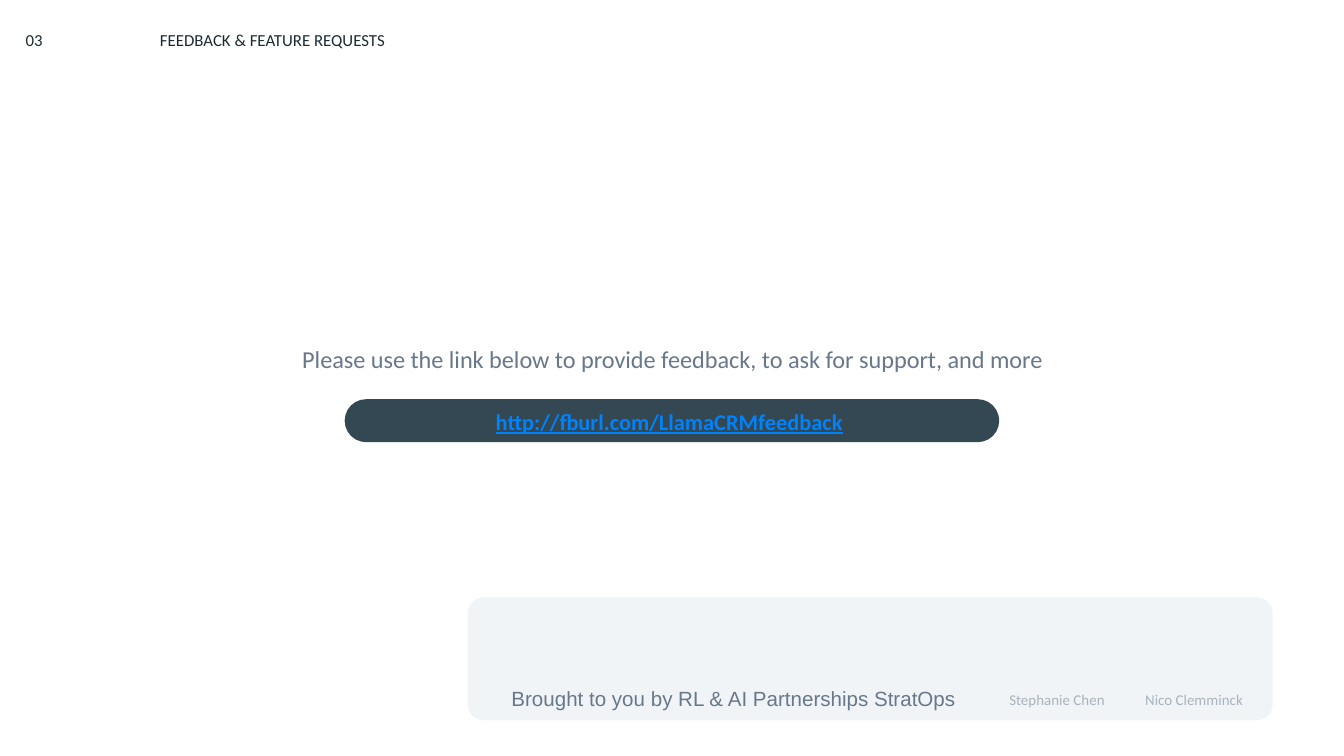
from dataclasses import dataclass
from lxml.etree import SubElement as Sub
from pptx import Presentation
from pptx.dml.color import RGBColor as RGB
from pptx.enum.shapes import MSO_SHAPE as Shape
from pptx.enum.text import MSO_ANCHOR as Anchor, PP_ALIGN as Align
from pptx.oxml.ns import qn
from pptx.util import Pt

PX = 4572


@dataclass(frozen=True)
class Theme:
    white: str = "FFFFFF"
    panel: str = "F1F4F7"
    pill: str = "344854"
    ink: str = "1C2B33"
    slate: str = "67788A"
    mist: str = "A7B3BF"
    link: str = "0082FB"
    font: str = "Calibri"
    plain: str = "Arial"
    lead: int = 13
    url: int = 12
    credit: int = 11
    head: int = 9
    name: int = 8


T = Theme()


def scale(box):
    return [n * PX for n in box]


def write(shape, text, size, color, font=T.font, align=Align.CENTER,
          anchor=Anchor.TOP, inset=0, space=1.0, tab=0):
    frame = shape.text_frame
    frame.word_wrap = True
    frame.vertical_anchor = anchor
    frame.margin_left = frame.margin_right = inset * PX
    frame.margin_top = frame.margin_bottom = inset * PX
    para = frame.paragraphs[0]
    para.text = text
    para.alignment = align
    para.line_spacing = space
    if tab:
        stops = Sub(para._p.get_or_add_pPr(), qn("a:tabLst"))
        Sub(stops, qn("a:tab"), pos=str(tab * PX), algn="l")
    face = para.font
    face.name = font
    face.size = Pt(size)
    face.color.rgb = RGB.from_string(color)
    return para


def label(slide, box, *args, **opts):
    return write(slide.shapes.add_textbox(*scale(box)), *args, **opts)


def plate(slide, box, fill, round):
    shape = slide.shapes.add_shape(Shape.ROUNDED_RECTANGLE, *scale(box))
    shape.adjustments[0] = round
    shape.shadow.inherit = False
    shape.fill.solid()
    shape.fill.fore_color.rgb = RGB.from_string(fill)
    shape.line.fill.background()
    return shape


def header(slide, box):
    label(slide, box, "03\tFEEDBACK & FEATURE REQUESTS", T.head, T.ink,
          align=Align.LEFT, space=1.2, tab=200)


def invite(slide, box):
    x, y, w, h = box
    label(slide, (x, y, w, 64),
          "Please use the link below to provide feedback, to ask for support, and more",
          T.lead, T.slate, space=1.15)
    wide = 974
    pill = plate(slide, (x + (w - wide) // 2, y + h - 64, wide, 64), T.pill, 0.5)
    para = write(pill, "http://fburl.com/LlamaCRMfeedback", T.url, T.link,
                 anchor=Anchor.MIDDLE, inset=20, space=1.1)
    para.font.bold = True
    para.runs[0].font.underline = True
    para.add_run().text = " "


def credits(slide, box):
    x, y, w, h = box
    panel = plate(slide, box, T.panel, 0.13)
    panel.line.color.rgb = RGB.from_string(T.white)
    panel.line.width = Pt(0.75)
    people = ("Nico Clemminck", 908, 348), ("Stephanie Chen", 736, 284)
    for name, left, wide in people:
        label(slide, (x + left, y + h - 130, wide, 124), name, T.name, T.mist,
              anchor=Anchor.BOTTOM, inset=20)
    label(slide, (x - 15, y + h - 78, 824, 78),
          "Brought to you by RL & AI Partnerships StratOps",
          T.credit, T.slate, font=T.plain, inset=20, space=1.15)


def main():
    deck = Presentation()
    deck.slide_width, deck.slide_height = scale((2000, 1125))
    slide = deck.slides.add_slide(deck.slide_layouts[6])
    credits(slide, (695, 888, 1200, 185))
    invite(slide, (105, 506, 1790, 152))
    header(slide, (38, 38, 750, 20))
    deck.save("out.pptx")


if __name__ == "__main__":
    main()
